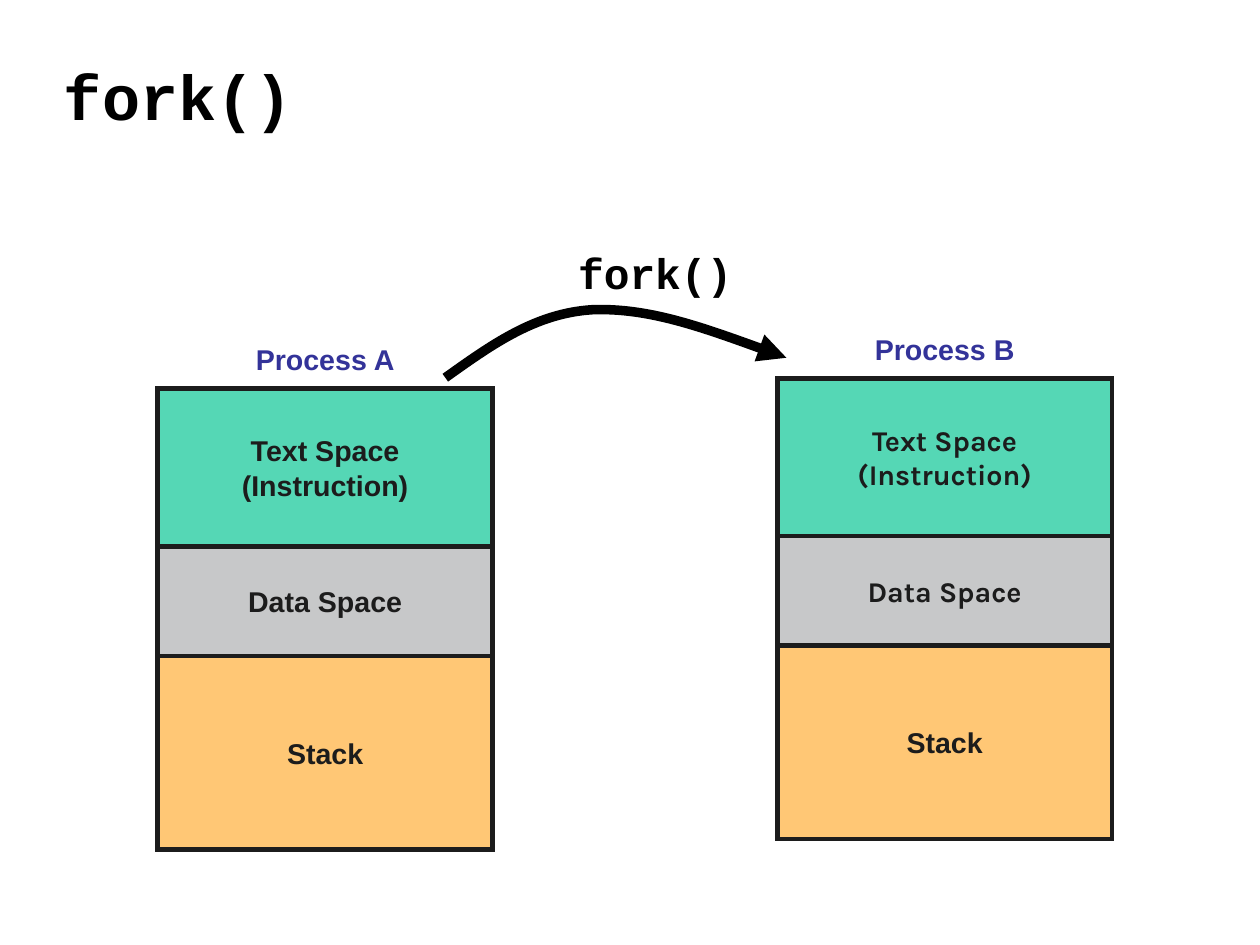
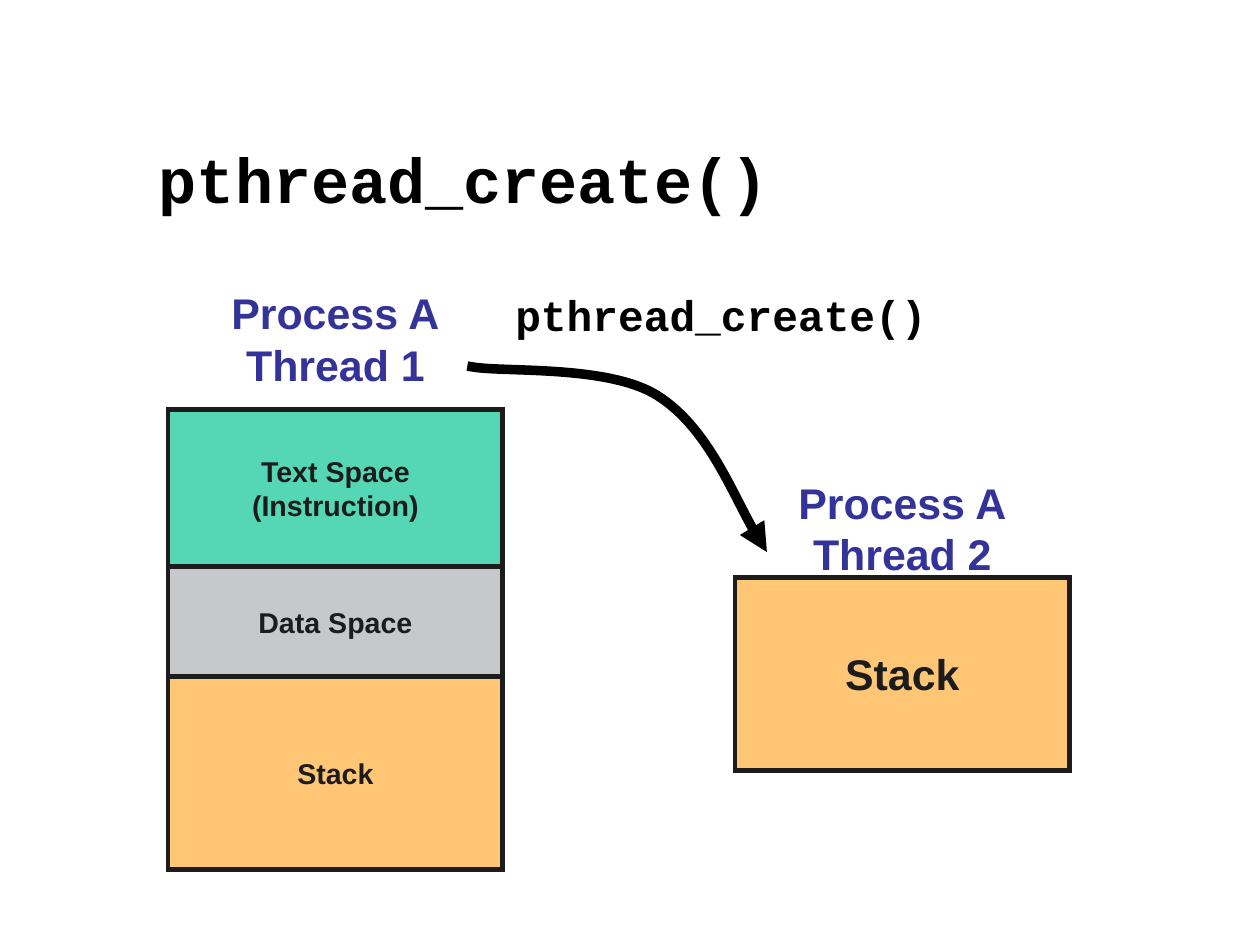
"""Build two slides comparing the memory spaces of fork() and pthread_create()."""
from lxml.etree import SubElement
from pptx import Presentation
from pptx.dml.color import RGBColor
from pptx.enum.shapes import MSO_SHAPE
from pptx.enum.text import MSO_ANCHOR as ANCHOR, PP_ALIGN as ALIGN
from pptx.oxml.ns import qn
from pptx.util import Cm, Inches, Pt

BLACK = RGBColor(0x00, 0x00, 0x00)
INK = RGBColor(0x1C, 0x1C, 0x1C)
NAVY = RGBColor(0x33, 0x33, 0x99)
GREEN = RGBColor(0x55, 0xD7, 0xB5)
GREY = RGBColor(0xC7, 0xC8, 0xC9)
ORANGE = RGBColor(0xFF, 0xC7, 0x75)
SANS, MONO, ROUND = "Arial", "Courier New", "Karla"

SLIDE_WIDTH, SLIDE_HEIGHT = Cm(28), Cm(21)
STACK_WIDTH, LABEL_HEIGHT = 2.93, 1.0
TITLE_HEIGHT, CALL_WIDTH, CALL_HEIGHT = 0.92, 3.8, 0.55

TEXT_SPACE = ("Text Space\n(Instruction)", GREEN, 1.38)
DATA_SPACE = ("Data Space", GREY, 0.96)
STACK = ("Stack", ORANGE, 1.69)
FULL = [TEXT_SPACE, DATA_SPACE, STACK]

SLIDES = [
    {
        "title": ("fork()", 0.46, 0.37),
        "call": ("fork()", 4.96, 2.11),
        "curve": [(3.93, 3.28), (4.31, 3.01), (4.69, 2.74), (5.18, 2.71),
                  (5.67, 2.69), (6.28, 2.91), (6.88, 3.13)],
        "processes": [
            {"label": "Process A", "at": (1.38, 3.4), "rise": 0.26, "label_size": 18,
             "spaces": FULL, "size": 18, "fonts": [SANS, SANS, SANS]},
            {"label": "Process B", "at": (6.8, 3.31), "rise": 0.26, "label_size": 18,
             "spaces": FULL, "size": 18, "fonts": [ROUND, ROUND, SANS]},
        ],
    },
    {
        "title": ("pthread_create()", 1.29, 1.1),
        "call": ("pthread_create()", 4.41, 2.48),
        "curve": [(4.13, 3.21), (4.4, 3.26), (5.32, 3.19), (5.75, 3.46),
                  (6.18, 3.73), (6.51, 4.55), (6.71, 4.83)],
        "processes": [
            {"label": "Process A\nThread 1", "at": (1.47, 3.58), "rise": 0.62, "label_size": 27,
             "spaces": FULL, "size": 18, "fonts": [SANS, SANS, SANS]},
            {"label": "Process A\nThread 2", "at": (6.43, 5.05), "rise": 0.43, "label_size": 27,
             "spaces": [STACK], "size": 27, "fonts": [SANS]},
        ],
    },
]


def write(shape, text, size, color, font=SANS, align=ALIGN.CENTER, anchor=ANCHOR.MIDDLE):
    """Fill a shape with bold text in one style."""
    frame = shape.text_frame
    frame.text = text
    frame.word_wrap = True
    frame.vertical_anchor = anchor
    for paragraph in frame.paragraphs:
        paragraph.alignment = align
        for run in paragraph.runs:
            run.font.name = font
            run.font.size = Pt(size)
            run.font.bold = True
            run.font.color.rgb = color


def draw_line(shape, color, width):
    """Give a shape a sharp-cornered line without shadow and return its XML element."""
    shape.shadow.inherit = False
    shape.line.color.rgb = color
    shape.line.width = Pt(width)
    line = next(shape.element.iter(qn("a:ln")))
    line.set("cap", "sq")
    SubElement(line, qn("a:miter"), lim="800000")
    return line


def add_title(slide, text, left, top):
    """Place and format the title placeholder."""
    title = slide.shapes.title
    title.left, title.top = Inches(left), Inches(top)
    title.width, title.height = SLIDE_WIDTH - 2 * Inches(left), Inches(TITLE_HEIGHT)
    write(title, text, 40, BLACK, MONO, ALIGN.LEFT)


def add_call(slide, text, left, top):
    """Name the call above the arrow."""
    box = slide.shapes.add_textbox(Inches(left), Inches(top), Inches(CALL_WIDTH), Inches(CALL_HEIGHT))
    write(box, text, 27, BLACK, MONO, ALIGN.LEFT, ANCHOR.TOP)


def add_process(slide, process):
    """Group a label with its column of memory spaces."""
    shapes = slide.shapes.add_group_shape().shapes
    left, top = process["at"]
    label_top = top - process["rise"] - LABEL_HEIGHT / 2
    label = shapes.add_textbox(Inches(left), Inches(label_top), Inches(STACK_WIDTH), Inches(LABEL_HEIGHT))
    write(label, process["label"], process["label_size"], NAVY)
    for (name, color, height), font in zip(process["spaces"], process["fonts"]):
        space = shapes.add_shape(MSO_SHAPE.RECTANGLE, Inches(left), Inches(top),
                                 Inches(STACK_WIDTH), Inches(height))
        space.fill.solid()
        space.fill.fore_color.rgb = color
        draw_line(space, INK, 3)
        write(space, name, process["size"], INK, font)
        top += height


def add_curved_arrow(slide, points):
    """Draw a cubic Bézier arrow from a start point and triples of points."""
    start, *rest = [(Inches(x), Inches(y)) for x, y in points]
    builder = slide.shapes.build_freeform(*start)
    builder.add_line_segments(rest, close=False)
    arrow = builder.convert_to_shape()
    outline = next(arrow.element.iter(qn("a:path")))
    segments = outline.findall(qn("a:lnTo"))
    for first in range(0, len(segments), 3):
        curve = SubElement(outline, qn("a:cubicBezTo"))
        for segment in segments[first:first + 3]:
            curve.append(segment[0])
            outline.remove(segment)
    arrow.fill.background()
    line = draw_line(arrow, BLACK, 6)
    SubElement(line, qn("a:tailEnd"), type="triangle")


def main():
    """Build and save the presentation."""
    presentation = Presentation()
    presentation.slide_width = SLIDE_WIDTH
    presentation.slide_height = SLIDE_HEIGHT
    for content in SLIDES:
        slide = presentation.slides.add_slide(presentation.slide_layouts[5])
        add_title(slide, *content["title"])
        for process in content["processes"]:
            add_process(slide, process)
        add_curved_arrow(slide, content["curve"])
        add_call(slide, *content["call"])
    presentation.save("out.pptx")


if __name__ == "__main__":
    main()
